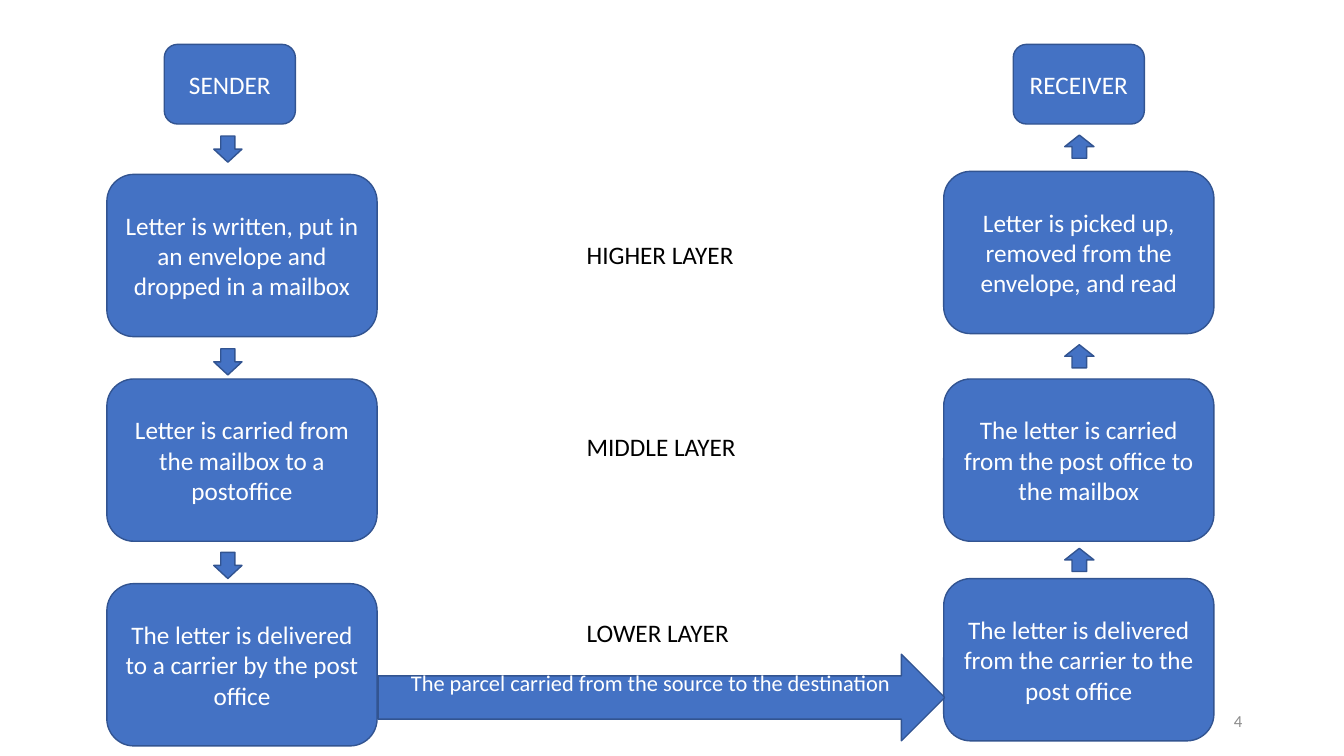
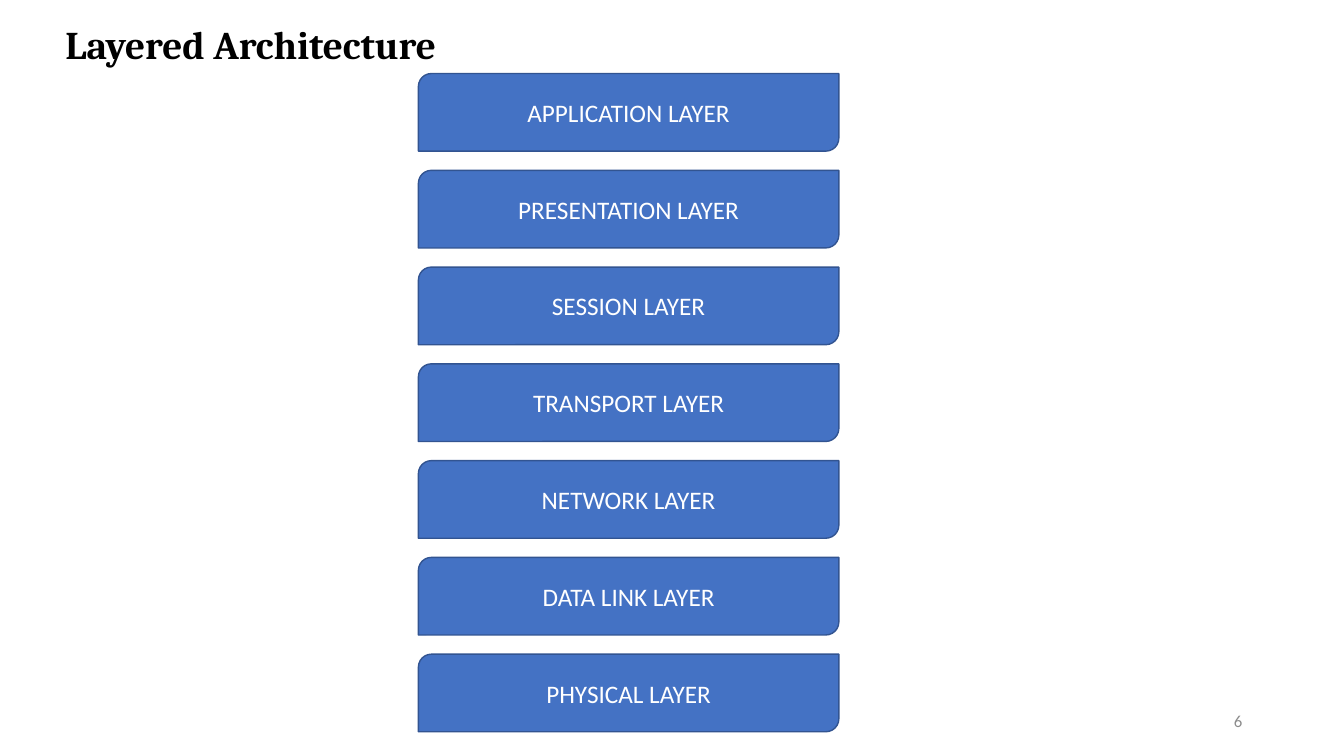
from dataclasses import dataclass

from pptx import Presentation
from pptx.dml.color import RGBColor
from pptx.enum.shapes import MSO_SHAPE as Shape
from pptx.enum.text import MSO_ANCHOR as Anchor, MSO_AUTO_SIZE as AutoSize, PP_ALIGN as Align
from pptx.util import Emu, Pt

SCALE = 9144  # EMU per px, 100 px to the inch


@dataclass(frozen=True)
class Theme:
    fill: RGBColor = RGBColor(0x44, 0x72, 0xC4)
    outline: RGBColor = RGBColor(0x32, 0x54, 0x91)
    light: RGBColor = RGBColor(0xFF, 0xFF, 0xFF)
    dark: RGBColor = RGBColor(0, 0, 0)
    muted: RGBColor = RGBColor(0x8C, 0x8C, 0x8C)
    body_font: str = "Calibri"
    title_font: str = "Cambria"
    title_size: int = 28
    body_size: int = 18
    arrow_size: int = 16
    number_size: int = 12


THEME = Theme()


@dataclass(frozen=True)
class Journey:
    """One side of the letter's trip: a heading and its steps, joined by arrows."""
    heading: str
    heading_left: int
    step_left: int
    steps: tuple
    step_tops: tuple
    arrow: Shape
    arrow_box: tuple  # left, width, height
    arrow_tops: tuple


JOURNEYS = (
    Journey("SENDER", 163, 106,
            ("Letter is written, put in an envelope and dropped in a mailbox",
             "Letter is carried from the mailbox to a postoffice",
             "The letter is delivered to a carrier by the post office"),
            (173, 376, 579), Shape.DOWN_ARROW, (212, 28, 26), (135, 346, 548)),
    Journey("RECEIVER", 1005, 936,
            ("Letter is picked up, removed from the envelope, and read",
             "The letter is carried from the post office to the mailbox",
             "The letter is delivered from the carrier to the post office"),
            (170, 376, 574), Shape.UP_ARROW, (1056, 29, 23), (134, 342, 544)),
)
LEVELS = (("HIGHER LAYER", 233, 167), ("MIDDLE LAYER", 423, 170), ("LOWER LAYER", 608, 162))
LAYERS = ("APPLICATION", "PRESENTATION", "SESSION", "TRANSPORT", "NETWORK", "DATA LINK", "PHYSICAL")


def px(*lengths):
    return [Emu(length * SCALE) for length in lengths]


def write(frame, text, size, color, align, font=THEME.body_font, bold=False):
    paragraph = frame.paragraphs[0]
    paragraph.alignment = align
    run = paragraph.add_run()
    run.text = text
    run.font.name, run.font.size, run.font.bold = font, Pt(size), bold
    run.font.color.rgb = color


def add_block(slide, kind, box, text="", size=THEME.body_size):
    shape = slide.shapes.add_shape(kind, *px(*box))
    shape.shadow.inherit = False
    shape.fill.solid()
    shape.fill.fore_color.rgb = THEME.fill
    shape.line.color.rgb = THEME.outline
    shape.line.width = Pt(1)
    if text:
        shape.text_frame.word_wrap = True
        shape.text_frame.vertical_anchor = Anchor.MIDDLE
        write(shape.text_frame, text, size, THEME.light, Align.CENTER)
    return shape


def add_label(slide, box, text, size=THEME.body_size, **style):
    """Add dark text on a single line that sizes its own box."""
    frame = slide.shapes.add_textbox(*px(*box)).text_frame
    frame.word_wrap = False
    frame.auto_size = AutoSize.SHAPE_TO_FIT_TEXT
    write(frame, text, size, THEME.dark, Align.LEFT, **style)


def add_slide_number(slide, number):
    frame = slide.shapes.add_textbox(*px(942, 695, 300, 40)).text_frame
    frame.word_wrap = True
    frame.vertical_anchor = Anchor.MIDDLE
    write(frame, str(number), THEME.number_size, THEME.muted, Align.RIGHT)


def add_journey(slide, journey):
    add_block(slide, Shape.ROUNDED_RECTANGLE, (journey.heading_left, 44, 130, 79), journey.heading)
    for text, top in zip(journey.steps, journey.step_tops):
        add_block(slide, Shape.ROUNDED_RECTANGLE, (journey.step_left, top, 268, 161), text)
    left, width, height = journey.arrow_box
    for top in journey.arrow_tops:
        add_block(slide, journey.arrow, (left, top, width, height))


def build_letter_slide(slide):
    for journey in JOURNEYS:
        add_journey(slide, journey)
    for text, top, width in LEVELS:
        add_label(slide, (572, top, width, 40), text)
    carrier = add_block(slide, Shape.RIGHT_ARROW, (375, 649, 562, 86),
                        "The parcel carried from the source to the destination", THEME.arrow_size)
    carrier.text_frame.margin_bottom = px(35)[0]  # lifts the text above the arrow's middle
    add_slide_number(slide, 4)


def build_layers_slide(slide):
    add_label(slide, (55, 15, 397, 57), "Layered Architecture", THEME.title_size,
              font=THEME.title_font, bold=True)
    for index, name in enumerate(LAYERS):
        add_block(slide, Shape.ROUND_2_DIAG_RECTANGLE, (415, 73 + 96 * index, 417, 77), f"{name} LAYER")
    add_slide_number(slide, 6)


def main():
    presentation = Presentation()
    presentation.slide_width, presentation.slide_height = px(1333, 750)
    blank = presentation.slide_layouts[6]
    for build in (build_letter_slide, build_layers_slide):
        build(presentation.slides.add_slide(blank))
    presentation.save("out.pptx")


if __name__ == "__main__":
    main()
